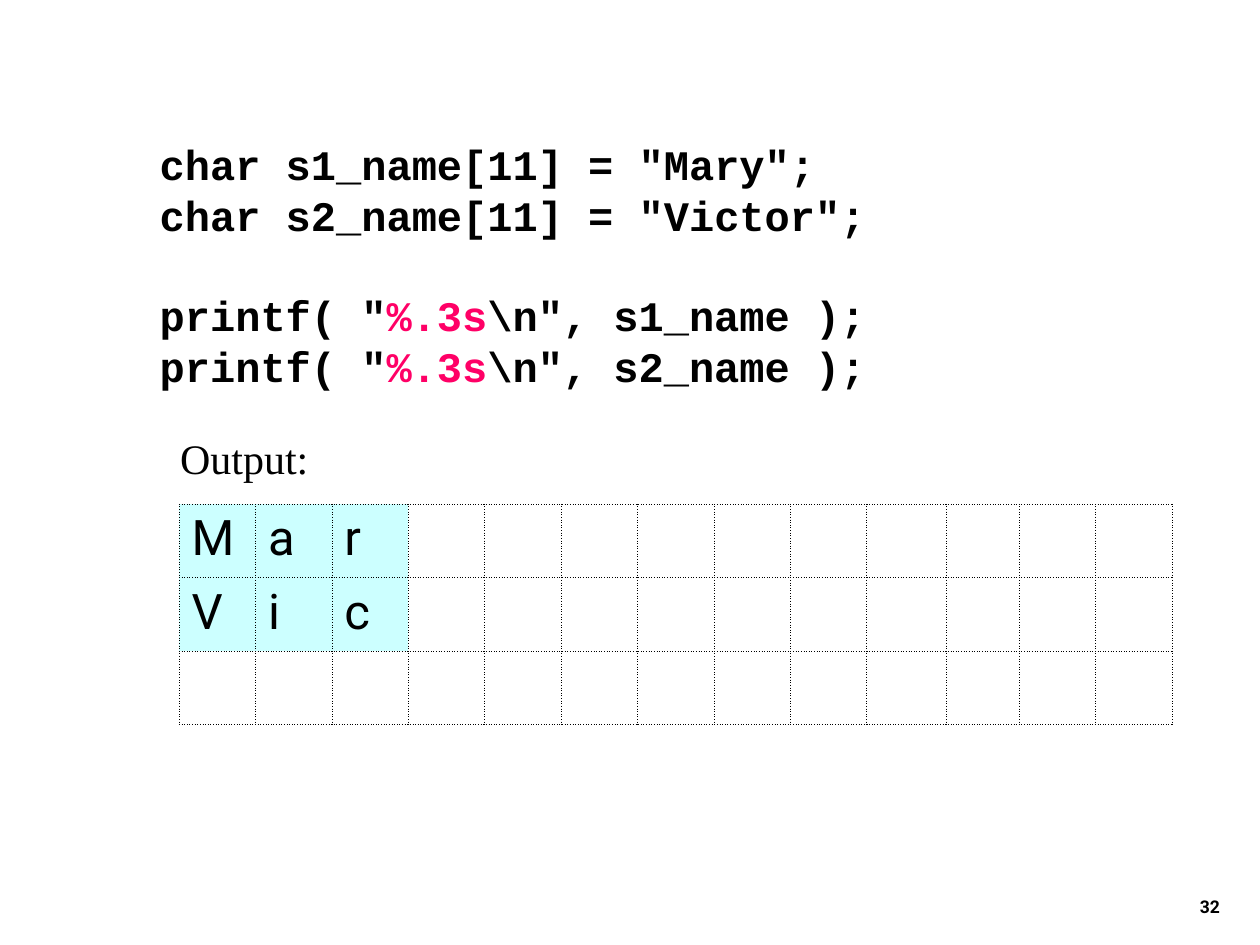
from dataclasses import dataclass

from lxml import etree
from pptx import Presentation
from pptx import util as u
from pptx.dml.color import RGBColor
from pptx.enum import text
from pptx.oxml import ns


@dataclass(frozen=True)
class Theme:
    ink: str = "000000"
    accent: str = "FF0066"
    filled: str = "CCFFFF"
    empty: str = "FFFFFF"
    code_size: int = 24
    code_pitch: float = 28.8
    letter_size: int = 28
    number_size: int = 10
    code_font: str = "Courier New"
    label_font: str = "Times New Roman"
    grid_font: str = "Roboto"


theme = Theme()


def add_text_frame(left, top, width, height):
    frame = slide.shapes.add_textbox(
        u.Cm(left), u.Cm(top), u.Cm(width), u.Cm(height)).text_frame
    frame.word_wrap = True
    return frame


def set_font(font, name, size, bold=False):
    font.name = name
    font.size = u.Pt(size)
    font.bold = bold
    font.color.rgb = RGBColor.from_string(theme.ink)


prs = Presentation()
prs.slide_width, prs.slide_height = u.Cm(25.4), u.Cm(19.05)
slide = prs.slides.add_slide(prs.slide_layouts[6])

# Page number
page = add_text_frame(19.56, 17.35, 5.28, 1.27)
page.vertical_anchor = text.MSO_ANCHOR.BOTTOM
number = page.paragraphs[0]
number.text = "32"
number.alignment = text.PP_ALIGN.RIGHT
set_font(number.font, theme.grid_font, theme.number_size, bold=True)

# Code: the format specifier is the accented part of each printf line
specifier = "%.3s"
code_lines = [
    'char s1_name[11] = "Mary";',
    'char s2_name[11] = "Victor";',
    'printf( "%.3s\\n", s1_name );',
    'printf( "%.3s\\n", s2_name );',
]
code = add_text_frame(2.97, 2.67, 17.58, 5.33)
for index, code_line in enumerate(code_lines):
    line = code.add_paragraph() if index else code.paragraphs[0]
    line.line_spacing = u.Pt(theme.code_pitch)
    if index == 2:
        line.space_before = u.Pt(theme.code_pitch)
    set_font(line.font, theme.code_font, theme.code_size, bold=True)
    before, found, after = code_line.partition(specifier)
    line.add_run().text = before
    if found:
        accent = line.add_run()
        accent.text = found
        accent.font.color.rgb = RGBColor.from_string(theme.accent)
        line.add_run().text = after

# Output label
label = add_text_frame(3.38, 8.59, 8.89, 1.27).paragraphs[0]
label.text = "Output:"
set_font(label.font, theme.label_font, theme.code_size)

# Output grid: one character per cell
printed = ["Mar", "Vic", ""]
column_widths = [1.54] * 9 + [1.6, 1.47] + [1.54] * 2
row_height = 1.48
grid = slide.shapes.add_table(
    len(printed), len(column_widths), u.Cm(3.61), u.Cm(10.16),
    u.Cm(sum(column_widths)), u.Cm(row_height * len(printed))).table
grid.first_row = grid.horz_banding = False
for column, width in zip(grid.columns, column_widths):
    column.width = u.Cm(width)

for row_index, word in enumerate(printed):
    grid.rows[row_index].height = u.Cm(row_height)
    for column_index in range(len(column_widths)):
        cell = grid.cell(row_index, column_index)
        has_letter = column_index < len(word)
        cell.fill.solid()
        cell.fill.fore_color.rgb = RGBColor.from_string(
            theme.filled if has_letter else theme.empty)
        if has_letter:
            letter = cell.text_frame.paragraphs[0]
            letter.text = word[column_index]
            set_font(letter.font, theme.grid_font, theme.letter_size)

        properties = cell.fill._xPr
        for position, side in enumerate(("lnL", "lnR", "lnT", "lnB")):
            border = etree.Element(ns.qn(f"a:{side}"), w=str(u.Pt(0.25)))
            solid = etree.SubElement(border, ns.qn("a:solidFill"))
            etree.SubElement(solid, ns.qn("a:srgbClr"), val=theme.ink)
            etree.SubElement(border, ns.qn("a:prstDash"), val="sysDot")
            properties.insert(position, border)

prs.save("out.pptx")
